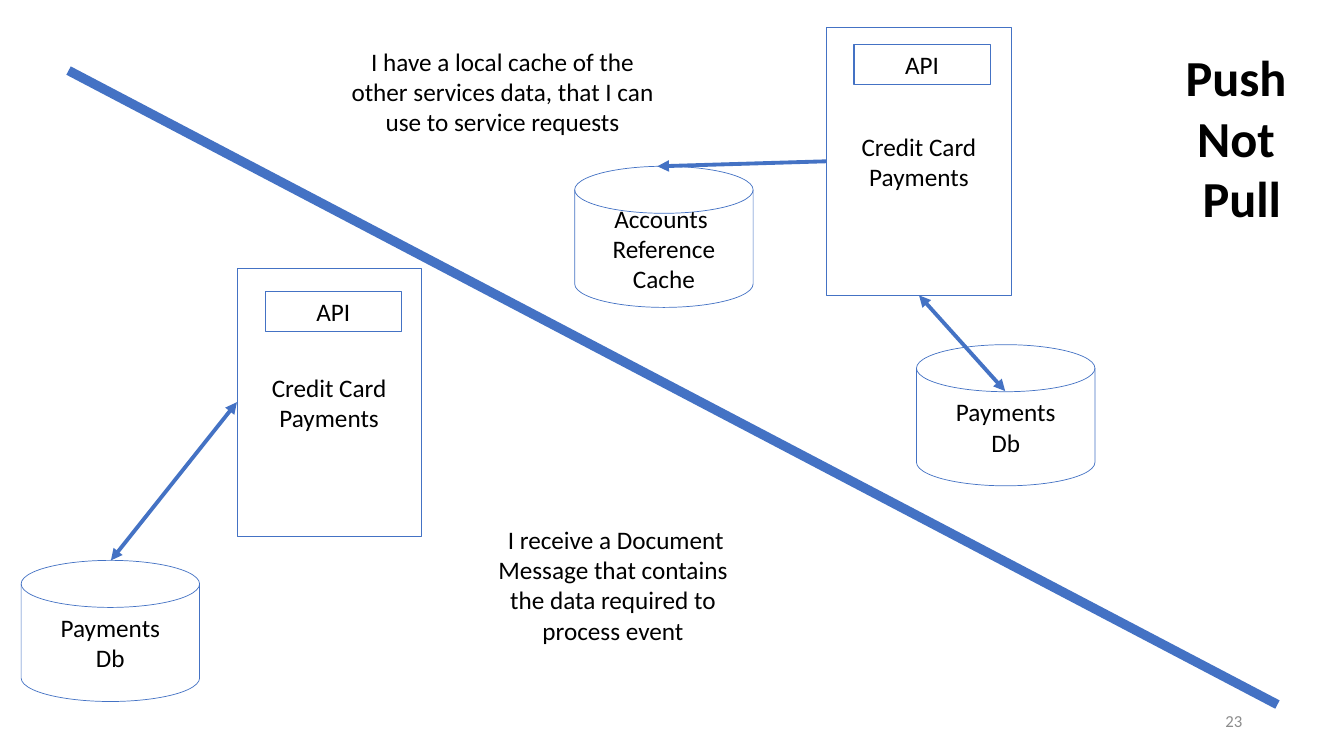
import pptx
import pptx.util
import pptx.dml.color
import pptx.enum.shapes
import pptx.enum.text
import pptx.oxml.ns
from dataclasses import dataclass
from lxml import etree

Inches = pptx.util.Inches
Pt = pptx.util.Pt
MSO_SHAPE = pptx.enum.shapes.MSO_SHAPE
ALIGN = pptx.enum.text.PP_ALIGN
ANCHOR = pptx.enum.text.MSO_ANCHOR
TOP, LEFT, BOTTOM = 0, 1, 2


@dataclass(frozen=True)
class Theme:
    font: str = "Calibri"
    accent: str = "4472C4"
    text: str = "000000"
    muted: str = "8C8C8C"
    body: int = 18
    title: int = 36
    number: int = 12
    outline: float = 0.5
    api_outline: float = 0.75
    arrow: float = 2.75
    divider: float = 6.75


THEME = Theme()


def rgb(value):
    return pptx.dml.color.RGBColor.from_string(value)


def write(sp, text, size=THEME.body, color=THEME.text, bold=False,
          align=ALIGN.CENTER, anchor=ANCHOR.TOP):
    """Fill a shape with one paragraph per line of text."""
    tf = sp.text_frame
    tf.word_wrap = True
    tf.vertical_anchor = anchor
    for i, line in enumerate(text.split("\n")):
        p = tf.paragraphs[0] if i == 0 else tf.add_paragraph()
        p.alignment = align
        r = p.add_run()
        r.text = line
        r.font.name = THEME.font
        r.font.size = Pt(size)
        r.font.bold = bold
        r.font.color.rgb = rgb(color)


def add_text(slide, box, text, **fmt):
    sp = slide.shapes.add_textbox(*map(Inches, box))
    write(sp, text, **fmt)
    return sp


def add_outlined(slide, kind, box, text, width=THEME.outline, **fmt):
    sp = slide.shapes.add_shape(kind, *map(Inches, box))
    sp.shadow.inherit = False
    sp.fill.background()
    sp.line.color.rgb = rgb(THEME.accent)
    sp.line.width = Pt(width)
    write(sp, text, **fmt)
    return sp


def add_line(slide, start, end, width):
    line = slide.shapes.add_connector(
        pptx.enum.shapes.MSO_CONNECTOR.STRAIGHT, *map(Inches, start + end))
    line.line.color.rgb = rgb(THEME.accent)
    line.line.width = Pt(width)
    etree.SubElement(line._element.spPr, pptx.oxml.ns.qn("a:effectLst"))
    return line


# Service box with its API label inside
def add_service(slide, left, top, api_dx, api_dy):
    service = add_outlined(slide, MSO_SHAPE.RECTANGLE, (left, top, 1.83, 2.66),
                           "Credit Card\nPayments", anchor=ANCHOR.MIDDLE)
    add_outlined(slide, MSO_SHAPE.RECTANGLE,
                 (left + api_dx, top + api_dy, 1.35, 0.4), "API",
                 width=THEME.api_outline)
    return service


# Database drum
def add_store(slide, left, top, text):
    return add_outlined(slide, MSO_SHAPE.FLOWCHART_MAGNETIC_DISK,
                        (left, top, 1.77, 1.4), text, anchor=ANCHOR.MIDDLE)


# Arrow between a point on a store and one side of a service
def add_link(slide, point, service, side, two_way=True):
    link = add_line(slide, point, point, THEME.arrow)
    link.end_connect(service, side)
    ln = link.line._get_or_add_ln()
    for end in ("a:headEnd", "a:tailEnd") if two_way else ("a:headEnd",):
        etree.SubElement(ln, pptx.oxml.ns.qn(end), type="triangle")


# Upper right: service that keeps a local cache
def add_cache_side(slide, left, top):
    add_text(slide, (left, top + 0.14, 3.37, 1.01),
             "I have a local cache of the other services data, "
             "that I can use to service requests")
    add_store(slide, left + 2.4, top + 1.38, "Accounts \nReference\nCache")
    service = add_service(slide, left + 4.9, top, 0.27, 0.17)
    add_store(slide, left + 5.79, top + 3.15, "Payments\nDb")
    add_link(slide, (left + 6.67, top + 3.61), service, BOTTOM)
    add_link(slide, (left + 3.22, top + 1.38), service, LEFT, two_way=False)


# Lower left: service that receives document messages
def add_message_side(slide, left, top):
    service = add_service(slide, left + 2.14, top, 0.28, 0.23)
    add_store(slide, left, top + 2.9, "Payments\nDb")
    add_link(slide, (left + 0.89, top + 2.9), service, LEFT)
    add_text(slide, (left + 4.49, top + 2.49, 2.76, 1.31),
             " I receive a Document Message that contains "
             "the data required to process event")


def main():
    prs = pptx.Presentation()
    prs.slide_width = Inches(13.33)
    prs.slide_height = Inches(7.5)
    slide = prs.slides.add_slide(prs.slide_layouts[6])

    # Diagonal divider and the two designs beside it
    add_line(slide, (0.68, 0.7), (12.67, 6.99), THEME.divider)
    add_cache_side(slide, 3.3, 0.27)
    add_message_side(slide, 0.21, 2.66)

    # Title and slide number
    add_text(slide, (11.27, 0.41, 1.98, 1.92), "Push\nNot\n Pull",
             size=THEME.title, bold=True)
    add_text(slide, (9.42, 6.95, 3, 0.4), "23", size=THEME.number,
             color=THEME.muted, align=ALIGN.RIGHT, anchor=ANCHOR.MIDDLE)
    prs.save("out.pptx")


if __name__ == "__main__":
    main()
